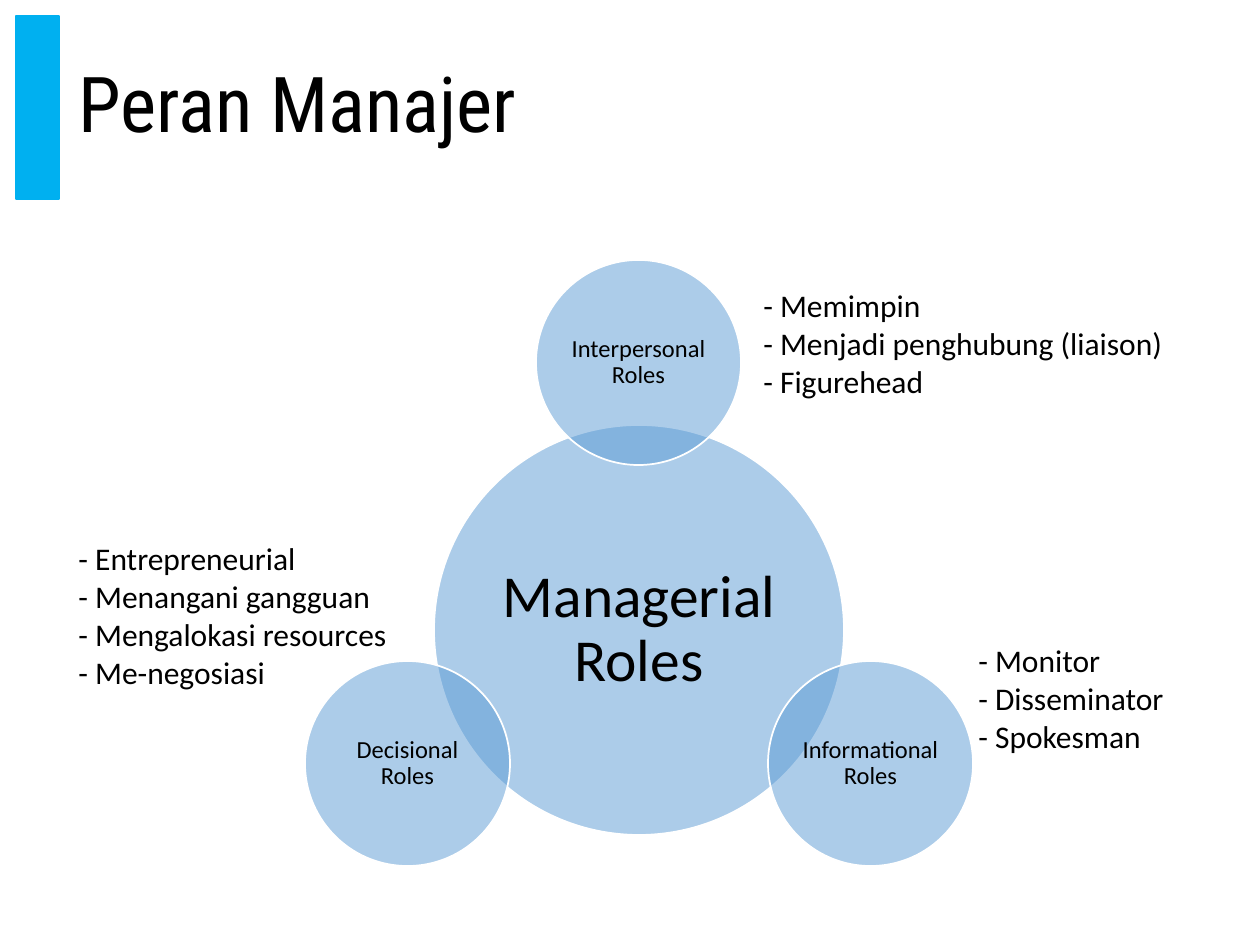
from math import cos, radians, sin

from lxml.etree import SubElement
from pptx import Presentation
from pptx.dml.color import RGBColor
from pptx.enum.shapes import MSO_SHAPE as Shape
from pptx.enum.text import MSO_ANCHOR as Anchor, MSO_AUTO_SIZE as Fit, PP_ALIGN as Align
from pptx.oxml.ns import qn
from pptx.util import Emu, Pt

BLACK = RGBColor(0, 0, 0)
WHITE = RGBColor(255, 255, 255)
CYAN = RGBColor(0x00, 0xB0, 0xF0)
BLUE = RGBColor(0x5B, 0x9B, 0xD5)


def px(n):
    return Emu(round(n * 914400 / 126))


class Deck:
    body = "Calibri"
    head = "Roboto Condensed"

    def __init__(self, wide, high):
        self.file = Presentation()
        self.file.slide_width = px(wide)
        self.file.slide_height = px(high)
        self.slide = self.file.slides.add_slide(self.file.slide_layouts[6])

    def text(self, frame, lines, size, font, align=Align.LEFT, space=None):
        for i, line in enumerate(lines):
            para = frame.add_paragraph() if i else frame.paragraphs[0]
            para.text = line
            para.alignment = align
            para.line_spacing = space
            para.font.size = Pt(size)
            para.font.name = font
            para.font.color.rgb = BLACK

    def shape(self, kind, box, fill, line):
        item = self.slide.shapes.add_shape(kind, *map(px, box))
        item.shadow.inherit = False
        item.fill.solid()
        item.fill.fore_color.rgb = fill
        item.line.color.rgb = line
        item.line.width = Pt(1)
        return item

    def bar(self, box):
        self.shape(Shape.RECTANGLE, box, CYAN, CYAN)

    def title(self, text, box):
        frame = self.slide.shapes.add_textbox(*map(px, box)).text_frame
        frame.word_wrap = True
        frame.vertical_anchor = Anchor.MIDDLE
        self.text(frame, [text], 44, self.head, space=0.9)

    def circle(self, text, mid, across, size, inset):
        x, y = mid
        box = (round(x - across / 2), round(y - across / 2), across, across)
        item = self.shape(Shape.OVAL, box, BLUE, WHITE)
        tint = item.element.spPr.find(qn("a:solidFill"))[0]
        SubElement(tint, qn("a:alpha"), val="50000")
        frame = item.text_frame
        frame.word_wrap = True
        frame.vertical_anchor = Anchor.MIDDLE
        frame.margin_left = frame.margin_right = px(inset)
        frame.margin_top = frame.margin_bottom = px(inset)
        self.text(frame, [text], size, self.body, Align.CENTER, 0.9)

    def tasks(self, lines, box):
        frame = self.slide.shapes.add_textbox(*map(px, box)).text_frame
        frame.word_wrap = False
        frame.auto_size = Fit.SHAPE_TO_FIT_TEXT
        self.text(frame, [f"- {line}" for line in lines], 18, self.body)


def main():
    deck = Deck(1260, 945)
    deck.bar((16, 16, 43, 183))
    deck.title("Peran Manajer", (66, 16, 1147, 183))

    x, y = 639, 630
    orbit = 267
    deck.circle("Managerial Roles", (x, y), 410, 34, 6)
    roles = ["Interpersonal Roles", "Informational Roles", "Decisional Roles"]
    for i, role in enumerate(roles):
        turn = radians(360 / len(roles) * i - 90)
        mid = (x + orbit * cos(turn), y + orbit * sin(turn))
        deck.circle(role, mid, 205, 14, 3)

    deck.tasks(["Memimpin", "Menjadi penghubung (liaison)", "Figurehead"],
               (751, 280, 430, 127))
    deck.tasks(["Monitor", "Disseminator", "Spokesman"], (966, 635, 213, 127))
    deck.tasks(["Entrepreneurial", "Menangani gangguan", "Mengalokasi resources",
                "Me-negosiasi"], (66, 533, 336, 165))
    deck.file.save("out.pptx")


if __name__ == "__main__":
    main()
